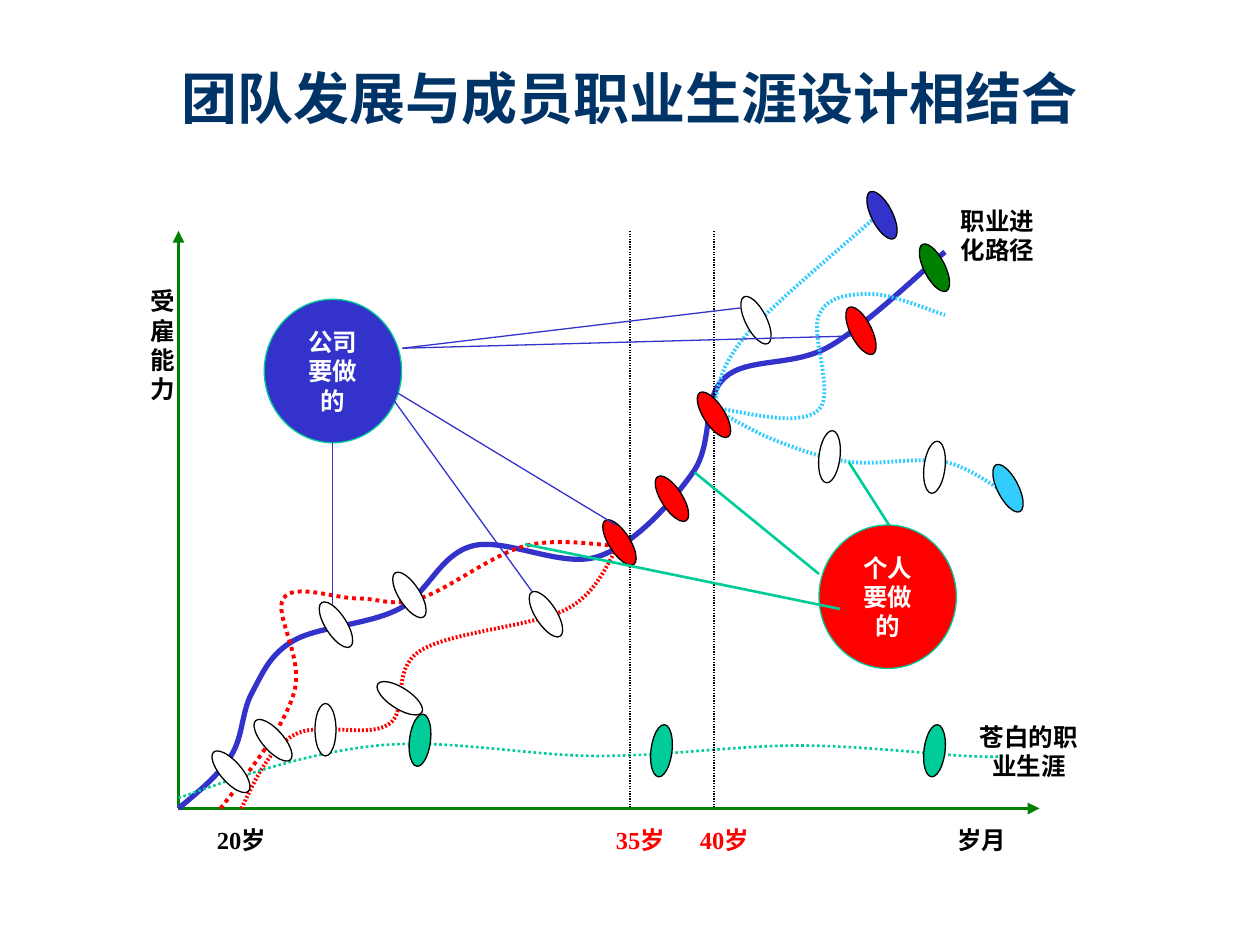
from dataclasses import dataclass

from lxml.etree import SubElement
from pptx import Presentation
from pptx.dml.color import RGBColor
from pptx.enum.dml import MSO_LINE
from pptx.enum.shapes import MSO_CONNECTOR, MSO_SHAPE
from pptx.enum.text import MSO_ANCHOR, MSO_AUTO_SIZE, PP_ALIGN
from pptx.oxml.ns import qn
from pptx.util import Pt


@dataclass(frozen=True)
class Theme:
    navy: str = "003366"
    blue: str = "3333CC"
    sky: str = "33CCFF"
    green: str = "008000"
    teal: str = "00CC99"
    red: str = "FF0000"
    black: str = "000000"
    white: str = "FFFFFF"
    head: float = 32
    body: float = 14
    thin: float = 0.75
    mid: float = 1.5
    bold: float = 2.25
    wide: float = 3
    serif: str = "Times New Roman"
    sans: str = "Noto Sans CJK SC"


T = Theme()

# Each curve: start point, then two handles and an end point per segment.
GROWTH = [
    (102, 462), (114, 452), (125, 443), (132, 432), (139, 421), (138, 407), (144, 396),
    (150, 385), (154, 374), (168, 366), (182, 358), (211, 357), (228, 348),
    (245, 339), (251, 317), (270, 312), (289, 307), (321, 325), (342, 318),
    (363, 311), (384, 287), (396, 270), (408, 253), (401, 228), (414, 216),
    (427, 204), (453, 210), (474, 198), (495, 186), (529, 153), (540, 144)]
LOW = [
    (138, 462), (146, 445), (154, 428), (168, 420), (182, 412), (210, 422), (222, 414),
    (234, 406), (223, 383), (240, 372), (257, 361), (305, 358), (324, 348),
    (343, 338), (348, 318), (354, 312), (360, 306), (360, 309), (360, 312)]
HIGH = [
    (126, 462), (144, 439), (162, 416), (168, 396), (174, 376), (156, 351), (162, 342),
    (168, 333), (191, 342), (204, 342), (217, 342), (224, 347), (240, 342),
    (256, 337), (281, 317), (300, 312), (319, 307), (345, 312), (354, 312)]
FORKS = [
    [(408, 234), (420, 240), (431, 247), (444, 252), (457, 257), (470, 262), (486, 264),
     (502, 266), (525, 261), (540, 264), (555, 267), (570, 280), (576, 282),
     (582, 284), (579, 280), (576, 276)],
    [(414, 234), (436, 238), (459, 243), (468, 234), (477, 225), (463, 191), (468, 180),
     (473, 169), (485, 168), (498, 168), (510, 168), (533, 178), (540, 180)],
    [(408, 234), (410, 222), (411, 210), (426, 192), (441, 174), (485, 138), (498, 126),
     (511, 114), (508, 117), (504, 120)]]
PALE = [
    (102, 456), (139, 443), (176, 430), (216, 426), (256, 422), (302, 432), (342, 432),
    (382, 432), (421, 426), (456, 426), (491, 426), (532, 431), (552, 432),
    (571, 433), (571, 432), (576, 432)]

# Turn in degrees, fill, top left corners.
STOPS = [
    (0, T.white, [(180, 402)]),
    (302.7, T.white, [(222.5, 384)]),
    (318.6, T.white, [(150, 408), (126, 426)]),
    (327.2, T.white, [(186, 342), (228, 325), (306, 336)]),
    (327.2, T.red, [(348, 295), (378, 270), (402, 222)]),
    (6.8, T.white, [(468, 246), (528, 252)]),
    (332.9, T.white, [(426, 168)]),
    (332.9, T.red, [(486, 174)]),
    (332.9, T.blue, [(498, 108)]),
    (332.9, T.green, [(528, 138)]),
    (332.9, T.sky, [(570, 264)]),
    (6.8, T.teal, [(234, 408), (372, 414), (528, 414)])]

LABELS = [
    ("20岁", T.black, (108, 468, 60, 24)),
    ("35岁", T.red, (336, 468, 60, 24)),
    ("40岁", T.red, (384, 468, 60, 24)),
    ("岁月", T.black, (534, 468, 54, 24)),
    ("职业进化路径", T.black, (540, 114, 60, 41)),
    ("受雇能力", T.black, (78, 160, 30, 75)),
    ("苍白的职业生涯", T.black, (552, 409, 72, 41))]

# Text, fill, line colour and width, corner, lines out.
ROLES = [
    ("公司要做的", T.blue, T.blue, T.thin, (151, 171),
     [(190, 227, 190, 346), (218, 219, 352, 300), (230, 199, 423, 176),
      (218, 219, 304, 338), (230, 199, 487, 192)]),
    ("个人要做的", T.red, T.teal, T.mid, (468, 300),
     [(508, 300, 485, 264), (468, 328, 397, 270), (480, 348, 300, 311)])]


def put(obj, **vals):
    for key, val in vals.items():
        setattr(obj, key, val)


def ink(line, tint, width):
    line.color.rgb = RGBColor.from_string(tint)
    line.width = Pt(width)


def write(shape, text, tint, size=T.body, face=T.serif, anchor=MSO_ANCHOR.TOP):
    frame = shape.text_frame
    put(frame, text=text, word_wrap=True, auto_size=MSO_AUTO_SIZE.NONE,
        vertical_anchor=anchor, margin_left=Pt(7.2), margin_right=Pt(7.2),
        margin_top=Pt(3.6), margin_bottom=Pt(3.6))
    para = frame.paragraphs[0]
    put(para, alignment=PP_ALIGN.CENTER, space_before=Pt(0))
    run = para.runs[0]
    put(run.font, size=Pt(size), bold=True, name=face)
    run.font.color.rgb = RGBColor.from_string(tint)
    SubElement(run.font._element, qn("a:ea"), typeface=T.sans)


def label(shapes, text, tint, box):
    write(shapes.add_textbox(*map(Pt, box)), text, tint)


def rule(shapes, ends, tint, width, dash=None, arrow=False):
    line = shapes.add_connector(MSO_CONNECTOR.STRAIGHT, *map(Pt, ends))
    ink(line.line, tint, width)
    if dash:
        line.line.dash_style = dash
    props = line.element.spPr
    if arrow:
        SubElement(props.find(qn("a:ln")), qn("a:tailEnd"), type="triangle")
    SubElement(props, qn("a:effectLst"))


def curve(shapes, dots, tint, width, dash=None, fine=False):
    """Draw a Bezier curve; fine makes dots half as long as the line is wide."""
    start, *rest = [(Pt(x), Pt(y)) for x, y in dots]
    pen = shapes.build_freeform(*start)
    pen.add_line_segments(rest, close=False)
    shape = pen.convert_to_shape()
    route = shape.element.find(".//" + qn("a:path"))
    legs = route.findall(qn("a:lnTo"))
    for i in range(0, len(legs), 3):
        bend = SubElement(route, qn("a:cubicBezTo"))
        for leg in legs[i:i + 3]:
            bend.append(leg[0])
            route.remove(leg)
    shape.fill.background()
    ink(shape.line, tint, width)
    if dash:
        shape.line.dash_style = dash
    if fine:
        ln = shape.element.spPr.find(qn("a:ln"))
        SubElement(SubElement(ln, qn("a:custDash")), qn("a:ds"), d="50000", sp="50000")
    shape.shadow.inherit = False


def oval(shapes, box, fill, edge, turn=0):
    shape = shapes.add_shape(MSO_SHAPE.OVAL, *map(Pt, box))
    shape.fill.solid()
    shape.fill.fore_color.rgb = RGBColor.from_string(fill)
    ink(shape.line, edge, T.thin)
    shape.shadow.inherit = False
    shape.rotation = turn
    return shape


def main():
    deck = Presentation()
    put(deck, slide_width=Pt(720), slide_height=Pt(540))
    slide = deck.slides.add_slide(deck.slide_layouts[5])
    shapes = slide.shapes
    title = shapes.title
    put(title, left=Pt(48), top=Pt(32.4), width=Pt(624), height=Pt(46))
    write(title, "团队发展与成员职业生涯设计相结合", T.navy, T.head, T.sans)

    for ends in [(102, 462, 102, 132), (102, 462, 594, 462)]:
        rule(shapes, ends, T.green, T.bold, arrow=True)
    curve(shapes, GROWTH, T.blue, T.wide)
    curve(shapes, LOW, T.red, T.bold, fine=True)
    curve(shapes, HIGH, T.red, T.bold, MSO_LINE.ROUND_DOT)
    for fork in FORKS:
        curve(shapes, fork, T.sky, T.bold, fine=True)
    curve(shapes, PALE, T.teal, T.mid, MSO_LINE.ROUND_DOT)
    for x in (360, 408):
        rule(shapes, (x, 132, x, 462), T.black, T.thin, MSO_LINE.ROUND_DOT)
    for turn, fill, spots in STOPS:
        for x, y in spots:
            oval(shapes, (x, y, 12, 30), fill, T.black, turn)
    for item in LABELS:
        label(shapes, *item)
    for text, fill, tint, width, spot, links in ROLES:
        disc = oval(shapes, (*spot, 78.5, 82), fill, T.teal)
        write(disc, text, T.white, anchor=MSO_ANCHOR.MIDDLE)
        for ends in links:
            rule(shapes, ends, tint, width)
    deck.save("out.pptx")


if __name__ == "__main__":
    main()
